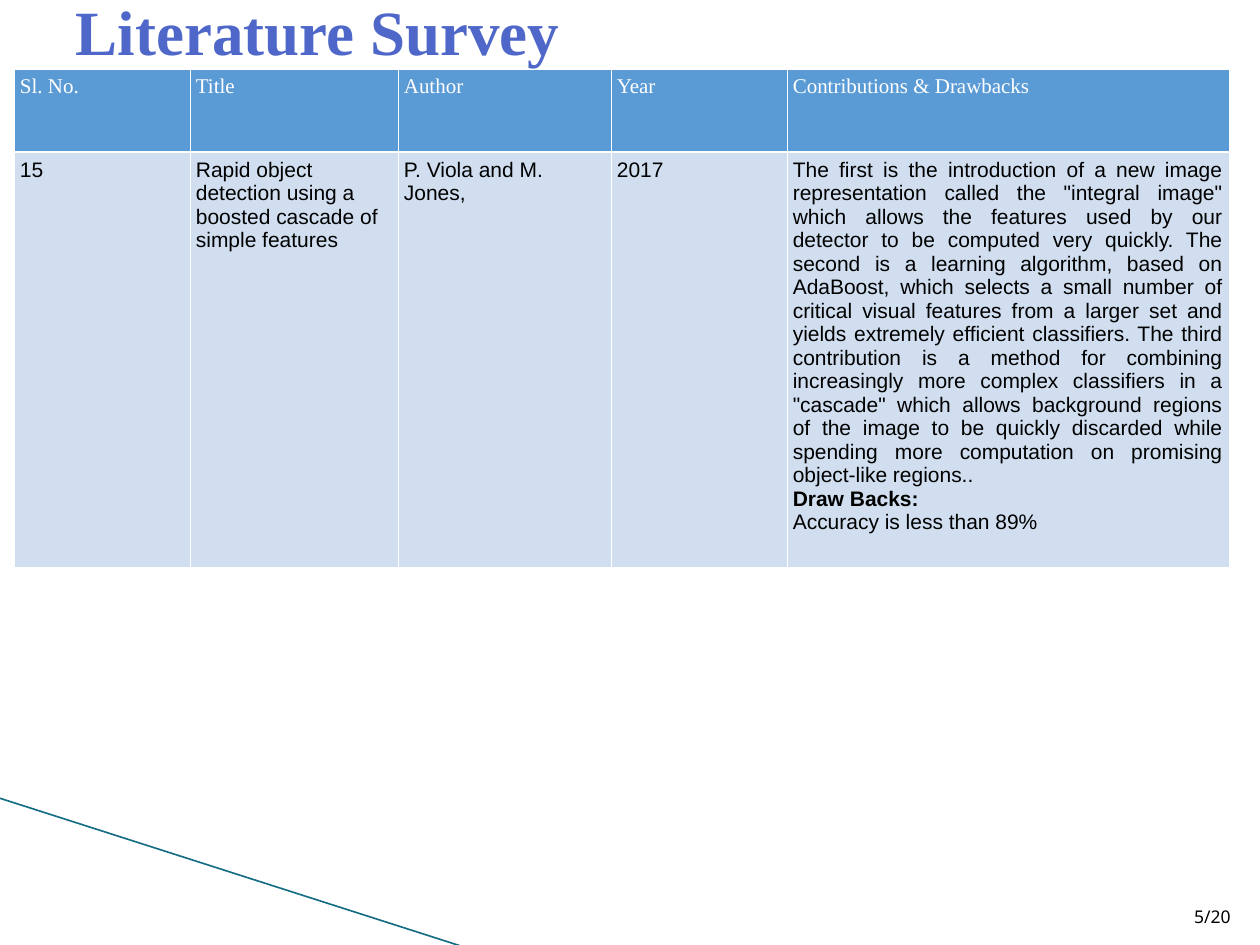
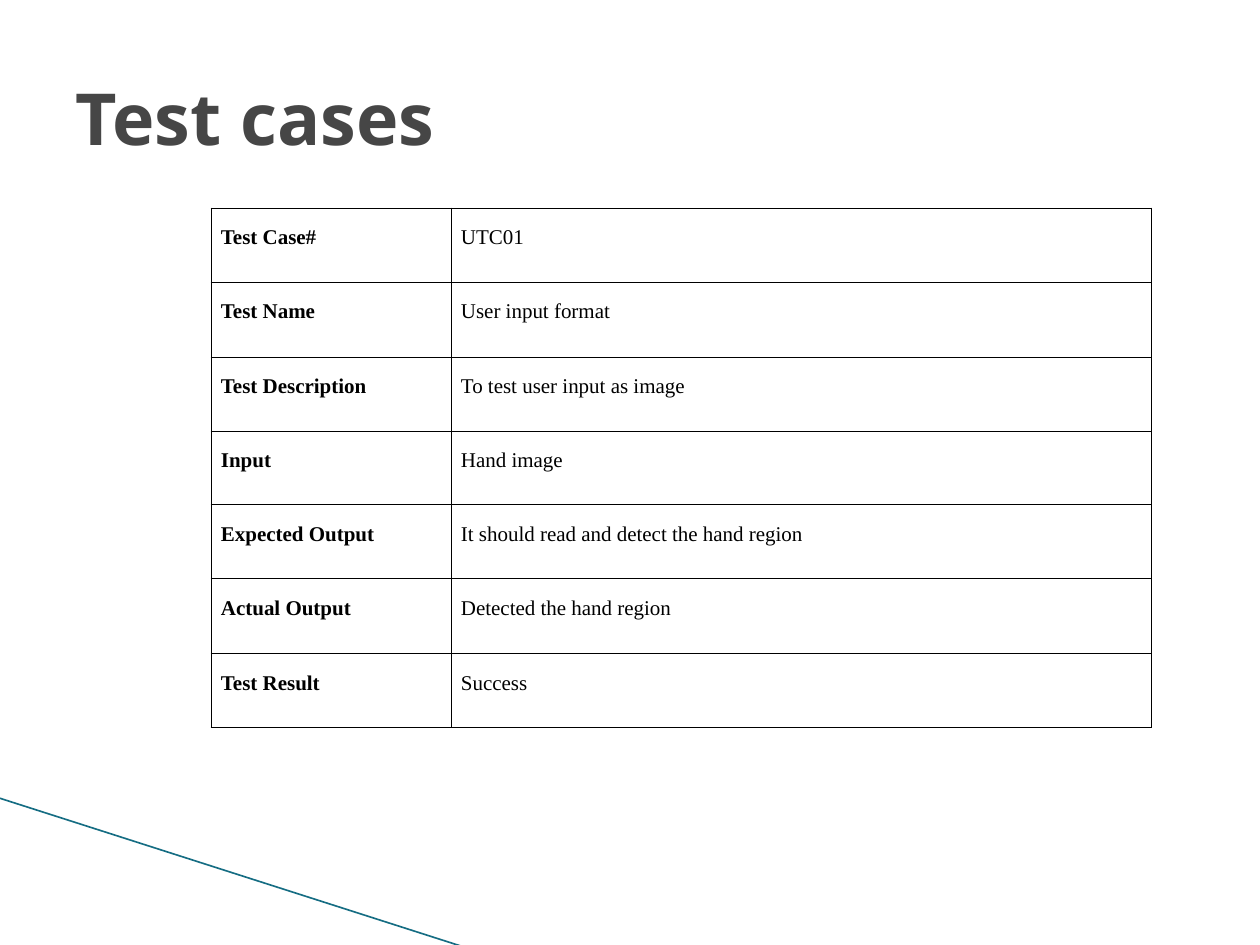
from dataclasses import dataclass

from lxml.etree import SubElement
from pptx import Presentation
from pptx.dml.color import RGBColor
from pptx.enum.shapes import MSO_CONNECTOR
from pptx.enum.text import MSO_ANCHOR, MSO_AUTO_SIZE, PP_ALIGN
from pptx.oxml.ns import qn
from pptx.util import Emu, Pt

PX_PER_INCH = 126
LEFT, RIGHT, JUSTIFY = PP_ALIGN.LEFT, PP_ALIGN.RIGHT, PP_ALIGN.JUSTIFY


@dataclass(frozen=True)
class Theme:
    accent_line: str = "156D83"
    survey_title: str = "4E67C8"
    test_title: str = "464646"
    header_fill: str = "5B9BD5"
    body_fill: str = "D0DEEF"
    white: str = "FFFFFF"
    black: str = "000000"
    serif: str = "Times New Roman"
    sans: str = "Arial"
    heading: str = "Noto Sans"
    survey_title_size: int = 36
    test_title_size: int = 41
    table_size: int = 12
    page_size: int = 10


THEME = Theme()


@dataclass(frozen=True)
class Box:
    left: int
    top: int
    width: int
    height: int


@dataclass(frozen=True)
class TextStyle:
    font: str
    size: int
    color: str
    bold: bool = False
    align: PP_ALIGN = LEFT
    line_spacing: float | None = None
    space_after: int | None = None


@dataclass(frozen=True)
class Rules:
    """Cell border colour and widths in points."""
    color: str
    top: float
    bottom: float
    side: float


@dataclass(frozen=True)
class CellStyle:
    text: TextStyle
    rules: Rules
    fill: str | None
    side_inset: int
    end_inset: int = 6


SURVEY_TITLE = TextStyle(THEME.serif, THEME.survey_title_size, THEME.survey_title, bold=True)
TEST_TITLE = TextStyle(THEME.heading, THEME.test_title_size, THEME.test_title, bold=True)
PAGE_NUMBER = TextStyle(THEME.heading, THEME.page_size, THEME.black, align=RIGHT)

HEADER = CellStyle(TextStyle(THEME.serif, THEME.table_size, THEME.white),
                   Rules(THEME.white, 0.34, 0.96, 0.34), THEME.header_fill, 6)
BODY_RULES = Rules(THEME.white, 0.96, 0.34, 0.34)
BODY = CellStyle(TextStyle(THEME.sans, THEME.table_size, THEME.black),
                 BODY_RULES, THEME.body_fill, 6)
BODY_JUSTIFIED = CellStyle(TextStyle(THEME.sans, THEME.table_size, THEME.black, align=JUSTIFY),
                           BODY_RULES, THEME.body_fill, 6)


def test_cell(bold: bool) -> CellStyle:
    text = TextStyle(THEME.serif, THEME.table_size, THEME.black, bold, JUSTIFY, 1.5, 10)
    return CellStyle(text, Rules(THEME.black, 0.45, 0.45, 0.45), None, 10)


SURVEY_COLUMNS = (176, 208, 213, 176, 442)
SURVEY_ROWS = (83, 409)
SURVEY_HEADINGS = ("Sl. No.", "Title", "Author", "Year", "Contributions & Drawbacks")
DRAWBACKS_HEADING = "Draw Backs:"
CONTRIBUTIONS = (
    'The first is the introduction of a new image representation called the "integral image" '
    "which allows the features used by our detector to be computed very quickly. The second is "
    "a learning algorithm, based on AdaBoost, which selects a small number of critical visual "
    "features from a larger set and yields extremely efficient classifiers. The third "
    "contribution is a method for combining increasingly more complex classifiers in a "
    '"cascade" which allows background regions of the image to be quickly discarded while '
    "spending more computation on promising object-like regions.."
)
SURVEY_ENTRY = (
    "15",
    "Rapid object detection using a boosted cascade of simple features",
    "P. Viola and M. Jones,",
    "2017",
    f"{CONTRIBUTIONS}\n{DRAWBACKS_HEADING}\nAccuracy is less than 89%",
)
SURVEY_ENTRY_STYLES = (BODY_JUSTIFIED, BODY, BODY, BODY_JUSTIFIED, BODY_JUSTIFIED)

TEST_COLUMNS = (240, 700)
TEST_TABLE_HEIGHT = 520
TEST_CASE = (
    ("Test Case#", "UTC01"),
    ("Test Name", "User input format"),
    ("Test Description", "To test user input as image"),
    ("Input", "Hand image"),
    ("Expected Output", "It should read and detect the hand region"),
    ("Actual Output", "Detected the hand region"),
    ("Test Result", "Success"),
)


def px(length: int) -> Emu:
    return Emu(length * 914400 // PX_PER_INCH)


def split_evenly(total: int, count: int) -> list[int]:
    """Whole-pixel parts whose sum is exactly the total."""
    edges = [round(total * i / count) for i in range(count + 1)]
    return [end - start for start, end in zip(edges, edges[1:])]


def style_paragraph(paragraph, style: TextStyle, bold: bool) -> None:
    paragraph.alignment = style.align
    if style.line_spacing is not None:
        paragraph.line_spacing = style.line_spacing
    if style.space_after is not None:
        paragraph.space_after = Pt(style.space_after)
    for run in paragraph.runs:
        run.font.name = style.font
        run.font.size = Pt(style.size)
        run.font.bold = bold
        run.font.color.rgb = RGBColor.from_string(style.color)


def write(frame, text: str, style: TextStyle) -> None:
    frame.text = text
    for paragraph in frame.paragraphs:
        style_paragraph(paragraph, style, style.bold or paragraph.text == DRAWBACKS_HEADING)


def add_title_slide(deck, layout, title: str, box: Box, style: TextStyle, inset: int):
    slide = deck.slides.add_slide(layout)
    heading = slide.shapes.title
    heading.left, heading.top = px(box.left), px(box.top)
    heading.width, heading.height = px(box.width), px(box.height)
    frame = heading.text_frame
    frame.auto_size = MSO_AUTO_SIZE.NONE
    frame.word_wrap = True
    frame.vertical_anchor = MSO_ANCHOR.MIDDLE
    frame.margin_left = px(inset)
    write(frame, title, style)
    return slide


def add_page_number(slide, text: str, box: Box) -> None:
    frame = slide.shapes.add_textbox(
        px(box.left), px(box.top), px(box.width), px(box.height)).text_frame
    frame.word_wrap = True
    frame.vertical_anchor = MSO_ANCHOR.BOTTOM
    write(frame, text, PAGE_NUMBER)


def move_accent_to_layout(slide, layout) -> None:
    """Draw the diagonal line and hand it to the layout, so every slide shows it."""
    accent = slide.shapes.add_connector(
        MSO_CONNECTOR.STRAIGHT, px(-1), px(798), px(467), px(948))
    accent.line.color.rgb = RGBColor.from_string(THEME.accent_line)
    accent.line.width = Pt(0.94)
    SubElement(accent.element.spPr, qn("a:effectLst"))
    accent.element.xpath(".//p:cNvPr")[0].set("id", "20")
    layout.shapes.element.append(accent.element)


def rule_cell(cell, rules: Rules) -> None:
    properties = cell._tc.get_or_add_tcPr()
    for side, width in (("L", rules.side), ("R", rules.side),
                        ("T", rules.top), ("B", rules.bottom)):
        line = SubElement(properties, qn(f"a:ln{side}"), w=str(Pt(width)))
        fill = SubElement(line, qn("a:solidFill"))
        SubElement(fill, qn("a:srgbClr"), val=rules.color)


def fill_cell(cell, text: str, style: CellStyle) -> None:
    rule_cell(cell, style.rules)
    if style.fill is None:
        cell.fill.background()
    else:
        cell.fill.solid()
        cell.fill.fore_color.rgb = RGBColor.from_string(style.fill)
    cell.margin_left = cell.margin_right = px(style.side_inset)
    cell.margin_top = cell.margin_bottom = px(style.end_inset)
    write(cell.text_frame, text, style.text)


def add_grid(slide, left: int, top: int, columns, rows, texts, styles) -> None:
    """Add a table from column widths, row heights and matching grids of texts and styles."""
    table = slide.shapes.add_table(
        len(rows), len(columns), px(left), px(top), px(sum(columns)), px(sum(rows))).table
    table.first_row = table.horz_banding = False
    for column, width in zip(table.columns, columns):
        column.width = px(width)
    for row, height, row_texts, row_styles in zip(table.rows, rows, texts, styles):
        row.height = px(height)
        for cell, text, style in zip(row.cells, row_texts, row_styles):
            fill_cell(cell, text, style)


def main() -> None:
    deck = Presentation()
    deck.slide_width, deck.slide_height = px(1260), px(945)
    title_only = deck.slide_layouts[5]

    survey = add_title_slide(deck, title_only, "Literature Survey",
                             Box(0, -89, 1242, 238), SURVEY_TITLE, inset=76)
    move_accent_to_layout(survey, title_only)
    add_page_number(survey, "5/20", Box(1137, 883, 106, 50))
    add_grid(survey, 14, 69, SURVEY_COLUMNS, SURVEY_ROWS,
             (SURVEY_HEADINGS, SURVEY_ENTRY),
             ((HEADER,) * len(SURVEY_COLUMNS), SURVEY_ENTRY_STYLES))

    tests = add_title_slide(deck, title_only, "Test cases",
                            Box(63, 38, 1134, 158), TEST_TITLE, inset=13)
    label_and_value = (test_cell(bold=True), test_cell(bold=False))
    add_grid(tests, 211, 208, TEST_COLUMNS, split_evenly(TEST_TABLE_HEIGHT, len(TEST_CASE)),
             TEST_CASE, (label_and_value,) * len(TEST_CASE))

    deck.save("out.pptx")


if __name__ == "__main__":
    main()
